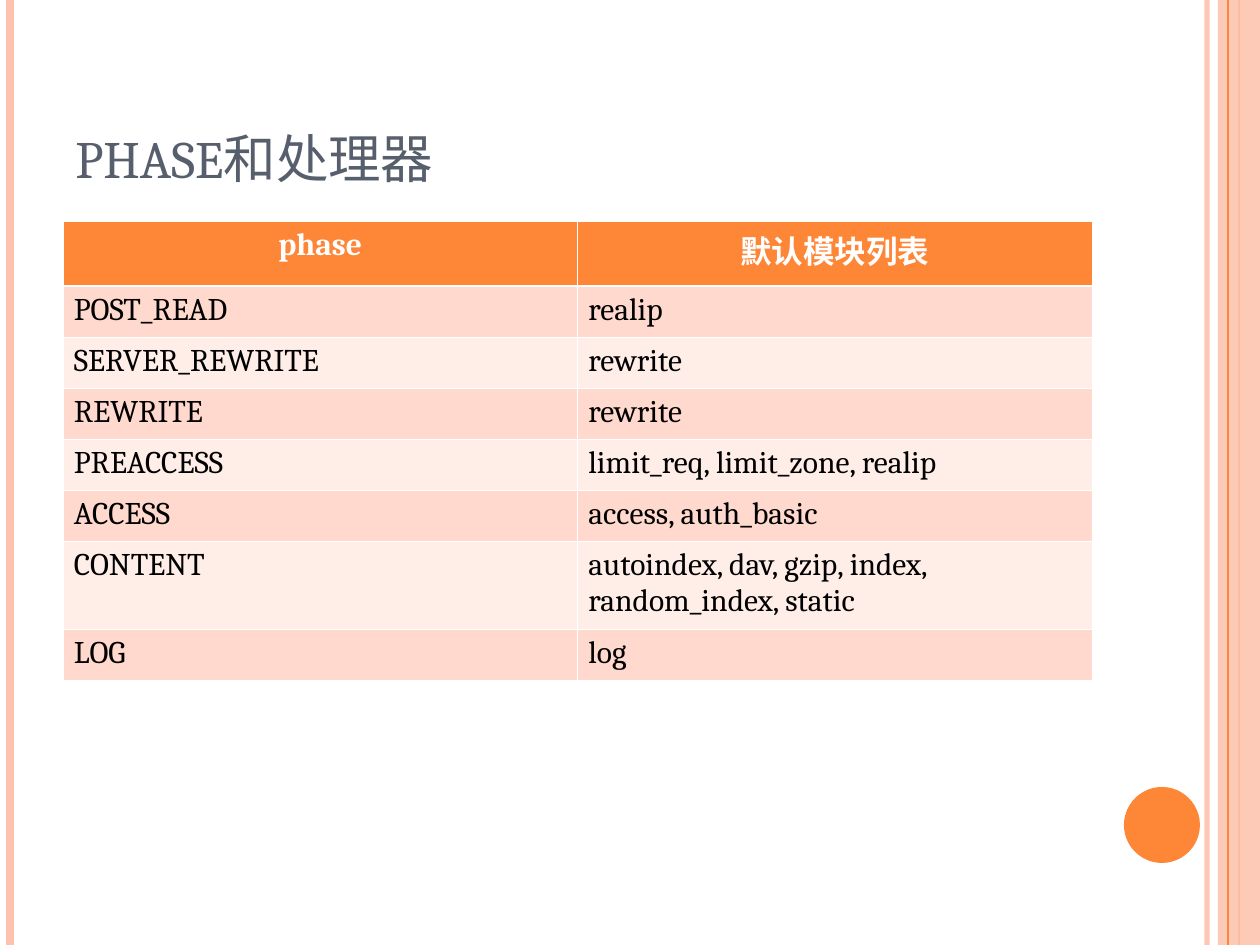
from lxml import etree
from pptx import Presentation, util as u
from pptx.dml.color import RGBColor
from pptx.enum import shapes, text
from pptx.oxml import ns

ORANGE = RGBColor(0xFE, 0x86, 0x37)
PEACH = RGBColor(0xFE, 0xC3, 0xAE)
SLATE = RGBColor(0x57, 0x5F, 0x6D)
BLACK = RGBColor(0, 0, 0)
WHITE = RGBColor(0xFF, 0xFF, 0xFF)
BANDS = (RGBColor(0xFF, 0xED, 0xE8), RGBColor(0xFF, 0xD9, 0xCE))

WIDTH, HEIGHT = 1260, 945
PHASES = [
    ("phase", "默认模块列表"),
    ("POST_READ", "realip"),
    ("SERVER_REWRITE", "rewrite"),
    ("REWRITE", "rewrite"),
    ("PREACCESS", "limit_req, limit_zone, realip"),
    ("ACCESS", "access, auth_basic"),
    ("CONTENT", "autoindex, dav, gzip, index, random_index, static"),
    ("LOG", "log"),
]
ROW_HEIGHTS = [65, 51, 51, 51, 51, 51, 88, 51]


def px(length):
    return u.Emu(round(length * 914400 / 126))


def add_alpha(fill_parent, percent):
    color = fill_parent.find(".//" + ns.qn("a:srgbClr"))
    etree.SubElement(color, ns.qn("a:alpha"), val=str(percent * 1000))


class SlideBuilder:
    font = "Cambria"

    def __init__(self, slide):
        self.slide = slide

    def format_runs(self, paragraph, size, color, bold=False):
        for run in paragraph.runs:
            run.font.name = self.font
            run.font.size = u.Pt(size)
            run.font.bold = bold
            run.font.color.rgb = color

    def vertical_line(self, x, color, width, opacity=100):
        line = self.slide.shapes.add_connector(
            shapes.MSO_CONNECTOR.STRAIGHT, px(x), 0, px(x), px(HEIGHT))
        line.line.color.rgb = color
        line.line.width = u.Pt(width)
        properties = line._element.spPr
        if opacity < 100:
            add_alpha(properties, opacity)
        etree.SubElement(properties, ns.qn("a:effectLst"))

    def shape(self, kind, x, y, width, height, color, opacity=100):
        shape = self.slide.shapes.add_shape(kind, px(x), px(y), px(width), px(height))
        shape.shadow.inherit = False
        shape.fill.solid()
        shape.fill.fore_color.rgb = color
        shape.line.fill.background()
        if opacity < 100:
            add_alpha(shape._element.spPr, opacity)

    def title(self, wording, x, y, width, height):
        box = self.slide.shapes.add_textbox(px(x), px(y), px(width), px(height))
        frame = box.text_frame
        frame.word_wrap = True
        frame.vertical_anchor = text.MSO_ANCHOR.BOTTOM
        frame.text = wording
        self.format_runs(frame.paragraphs[0], 30, SLATE)

    def cell_borders(self, cell, top, bottom):
        properties = cell._tc.get_or_add_tcPr()
        for side, width in (("L", 0.45), ("R", 0.45), ("T", top), ("B", bottom)):
            border = etree.SubElement(properties, ns.qn("a:ln" + side), w=str(u.Pt(width)))
            fill = etree.SubElement(border, ns.qn("a:solidFill"))
            etree.SubElement(fill, ns.qn("a:srgbClr"), val=str(WHITE))

    def table(self, rows, heights, x, y, width):
        columns = len(rows[0])
        table = self.slide.shapes.add_table(
            len(rows), columns, px(x), px(y), px(width), px(sum(heights))).table
        for column in table.columns:
            column.width = px(width / columns)
        for index, (row, height) in enumerate(zip(rows, heights)):
            table.rows[index].height = px(height)
            header = index == 0
            for cell, wording in zip(table.rows[index].cells, row):
                self.cell_borders(cell, 1.47 if index == 1 else 0.45, 1.47 if header else 0.45)
                cell.fill.solid()
                cell.fill.fore_color.rgb = ORANGE if header else BANDS[index % 2]
                cell.margin_left = cell.margin_right = px(11)
                cell.margin_top = cell.margin_bottom = px(6)
                cell.text = wording
                paragraph = cell.text_frame.paragraphs[0]
                paragraph.alignment = text.PP_ALIGN.CENTER if header else text.PP_ALIGN.LEFT
                self.format_runs(paragraph, 18, WHITE if header else BLACK, header)


def main():
    presentation = Presentation()
    presentation.slide_width, presentation.slide_height = px(WIDTH), px(HEIGHT)
    builder = SlideBuilder(presentation.slides.add_slide(presentation.slide_layouts[6]))

    builder.vertical_line(1207, PEACH, 3, 93)
    builder.vertical_line(10, PEACH, 4.5)
    builder.vertical_line(1239, ORANGE, 1.5)
    builder.shape(shapes.MSO_SHAPE.RECTANGLE, 1218, 0, 42, HEIGHT, PEACH, 87)
    builder.vertical_line(1228, ORANGE, 0.75)
    builder.shape(shapes.MSO_SHAPE.OVAL, 1124, 787, 76, 76, ORANGE)

    builder.title("PHASE和处理器", 63, 38, 1029, 157)
    builder.table(PHASES, ROW_HEIGHTS, 63, 221, 1029)
    presentation.save("out.pptx")


if __name__ == "__main__":
    main()
